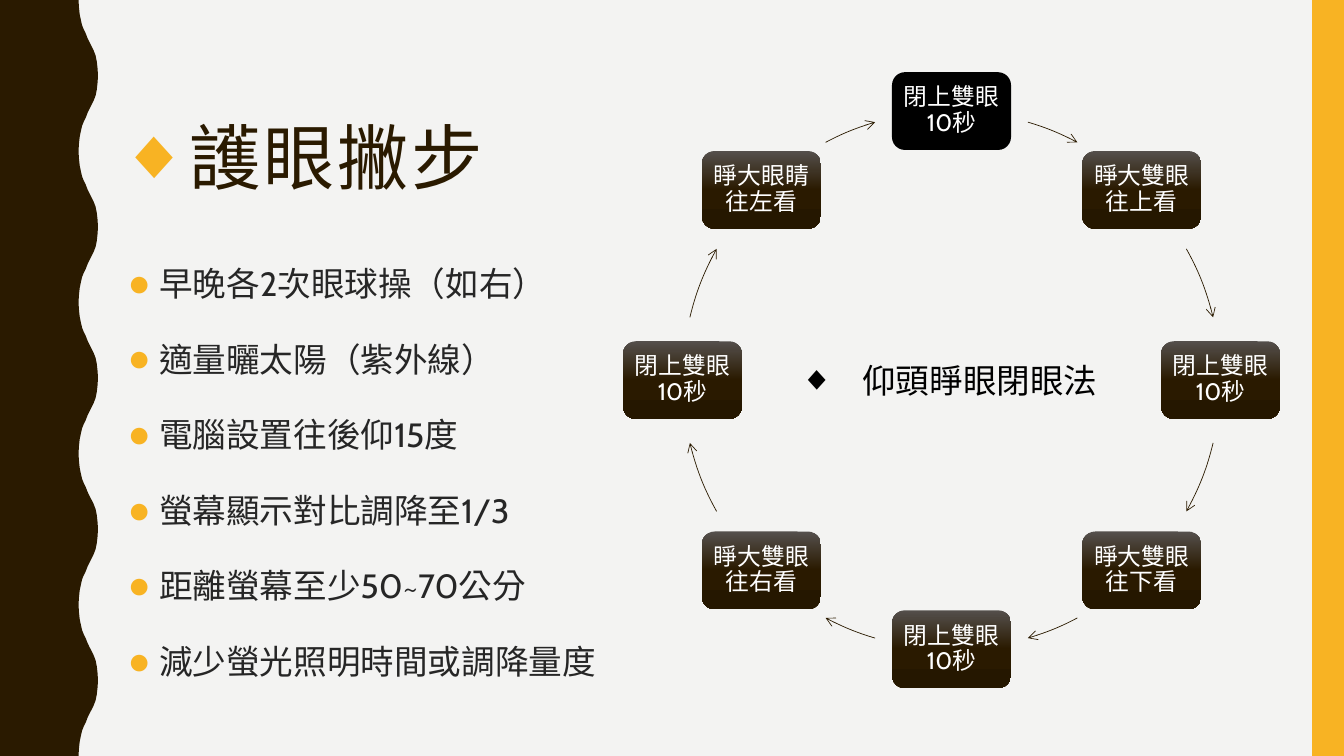
from dataclasses import dataclass
from math import cos, radians, sin
from typing import Optional

from lxml import etree
from pptx import Presentation
from pptx.dml.color import RGBColor
from pptx.enum.shapes import MSO_SHAPE as SHAPE
from pptx.enum.text import MSO_ANCHOR as ANCHOR, PP_ALIGN as ALIGN
from pptx.oxml.ns import qn
from pptx.util import Cm, Pt

COLOURS = {
    "paper": "F3F3F2", "brown": "2A1A00", "gold": "F8B323", "ink": "262626",
    "black": "000000", "white": "FFFFFF", "sheen": "544F4C", "deep": "251700",
}
WIDTH, HEIGHT = 33.87, 19.05

# Wave edge: half a period as (y, x), in cm
HALF_WAVE = [(0, 1.98), (0.18, 1.99), (0.36, 2.01), (0.51, 2.04), (0.64, 2.07),
             (0.74, 2.11), (0.84, 2.16), (0.97, 2.21), (1.07, 2.26), (1.17, 2.31),
             (1.27, 2.36), (1.4, 2.41), (1.55, 2.44), (1.73, 2.46), (1.9, 2.47)]
HALF_COUNT = 10

# Exercise cycle, in cm; angles run clockwise from the top
CENTRE_X, CENTRE_Y, RADIUS = 23.98, 9.58, 6.78
BOX_W, BOX_H = 3.0, 1.96
STEPS = ["閉上雙眼10秒", "睜大雙眼往上看", "閉上雙眼10秒", "睜大雙眼往下看",
         "閉上雙眼10秒", "睜大雙眼往右看", "閉上雙眼10秒", "睜大眼睛往左看"]
QUARTER_ARCS = [(16.5, 27.9), (60.8, 76.5)]


@dataclass
class Style:
    size: float
    colour: str
    font: str = "Cabin"
    tracking: float = 0
    line: float = 1.0
    before: float = 0
    after: float = 0
    bullet: Optional[str] = None
    bullet_colour: Optional[str] = None
    bullet_pct: int = 100
    indent: float = 0


@dataclass
class TextBlock:
    left: float
    top: float
    width: float
    height: float
    lines: list[str]
    style: Style
    wrap: bool = True


TITLE = Style(51, "brown", "Arial Narrow", tracking=2, line=0.9,
              bullet="◆", bullet_colour="gold", indent=1.57)
BODY = Style(24, "ink", line=1.5, before=4.8, after=6, bullet="●",
             bullet_colour="gold", bullet_pct=115, indent=0.79)
METHOD = Style(24, "black", bullet="◆", indent=1.57)
STEP = Style(17, "white", line=0.9)

BLOCKS = [
    TextBlock(2.74, 2.97, 27.94, 3.63, ["護眼撇步"], TITLE),
    TextBlock(2.97, 5.99, 12.85, 12.01,
              ["早晚各2次眼球操（如右）", "適量曬太陽（紫外線）", "電腦設置往後仰15度",
               "螢幕顯示對比調降至1/3", "距離螢幕至少50~70公分",
               "減少螢光照明時間或調降量度"], BODY),
    TextBlock(19.91, 8.94, 8.1, 1.27, ["仰頭睜眼閉眼法"], METHOD, wrap=False),
]


def rgb(name: str) -> RGBColor:
    return RGBColor.from_string(COLOURS[name])


def sub(parent, tag: str, **attrs: str):
    return etree.SubElement(parent, qn(tag), attrs)


def plain(sp, fill: Optional[str]) -> None:
    """Remove shadow and outline, then set the fill."""
    sp.shadow.inherit = False
    sp.line.fill.background()
    if fill:
        sp.fill.solid()
        sp.fill.fore_color.rgb = rgb(fill)
    else:
        sp.fill.background()


def add_bullet(p, style: Style) -> None:
    p_pr = p._p.get_or_add_pPr()
    p_pr.set("marL", str(Cm(style.indent)))
    p_pr.set("indent", str(-Cm(style.indent)))
    if style.bullet_colour:
        sub(sub(p_pr, "a:buClr"), "a:srgbClr", val=COLOURS[style.bullet_colour])
    sub(p_pr, "a:buSzPct", val=str(style.bullet_pct * 1000))
    sub(p_pr, "a:buFont", typeface="Arial")
    sub(p_pr, "a:buChar", char=style.bullet)


def write(tf, lines: list[str], style: Style) -> None:
    for i, line in enumerate(lines):
        p = tf.add_paragraph() if i else tf.paragraphs[0]
        p.line_spacing = style.line
        p.space_before, p.space_after = Pt(style.before), Pt(style.after)
        if style.bullet:
            add_bullet(p, style)
        r = p.add_run()
        r.text = line
        r.font.size, r.font.name = Pt(style.size), style.font
        r.font.color.rgb = rgb(style.colour)
        r_pr = r._r.get_or_add_rPr()
        r_pr.set("lang", "zh-TW")
        if style.tracking:
            r_pr.set("spc", str(int(style.tracking * 100)))


def add_block(shapes, block: TextBlock) -> None:
    tf = shapes.add_textbox(Cm(block.left), Cm(block.top),
                            Cm(block.width), Cm(block.height)).text_frame
    tf.word_wrap = block.wrap
    write(tf, block.lines, block.style)


def add_wave(shapes) -> None:
    half = HEIGHT / HALF_COUNT
    falling = [(half - y, x) for y, x in reversed(HALF_WAVE)]
    edge = [(Cm(x), Cm(i * half + y)) for i in range(HALF_COUNT)
            for y, x in (falling if i % 2 else HALF_WAVE)]
    builder = shapes.build_freeform(0, 0)
    builder.add_line_segments([*edge, (Cm(edge[0][0].cm), Cm(HEIGHT)), (0, Cm(HEIGHT))])
    plain(builder.convert_to_shape(), "brown")


def shade(sp) -> None:
    sp.fill.gradient()
    sp.fill.gradient_angle = 270
    stops = sp._element.spPr.find(qn("a:gradFill")).find(qn("a:gsLst"))
    for stop in list(stops):
        stops.remove(stop)
    for pos, name in ((0, "sheen"), (50, "brown"), (100, "deep")):
        sub(sub(stops, "a:gs", pos=str(pos * 1000)), "a:srgbClr", val=COLOURS[name])


def add_step(shapes, index: int, text: str) -> None:
    angle = radians(index * 360 / len(STEPS))
    x = CENTRE_X + RADIUS * sin(angle) - BOX_W / 2
    y = CENTRE_Y - RADIUS * cos(angle) - BOX_H / 2
    sp = shapes.add_shape(SHAPE.ROUNDED_RECTANGLE, Cm(x), Cm(y), Cm(BOX_W), Cm(BOX_H))
    plain(sp, "black")
    if index:
        shade(sp)
    tf = sp.text_frame
    tf.word_wrap, tf.vertical_anchor = True, ANCHOR.MIDDLE
    tf.margin_left = tf.margin_right = tf.margin_top = tf.margin_bottom = Cm(0.18)
    write(tf, [text], STEP)
    tf.paragraphs[0].alignment = ALIGN.CENTER


def add_arc(shapes, start: float, end: float) -> None:
    sp = shapes.add_shape(SHAPE.ARC, Cm(CENTRE_X - RADIUS), Cm(CENTRE_Y - RADIUS),
                          Cm(2 * RADIUS), Cm(2 * RADIUS))
    plain(sp, None)
    # Arc angles count from the right, in 60000ths of a degree
    for i, angle in enumerate((start, end)):
        sp.adjustments[i] = (angle - 90) % 360 * 0.6
    sp.line.color.rgb = rgb("brown")
    sp.line.width = Pt(0.5)
    sub(sp.line._get_or_add_ln(), "a:tailEnd", type="arrow")


prs = Presentation()
prs.slide_width, prs.slide_height = Cm(WIDTH), Cm(HEIGHT)
s = prs.slides.add_slide(prs.slide_layouts[6])
s.background.fill.solid()
s.background.fill.fore_color.rgb = rgb("paper")

# Side bands
add_wave(s.shapes)
band = s.shapes.add_shape(SHAPE.RECTANGLE, Cm(33.07), 0, Cm(0.8), Cm(HEIGHT))
plain(band, "gold")

# Cycle: the lower arcs of each half mirror the upper ones
for index, step in enumerate(STEPS):
    add_step(s.shapes, index, step)
half_arcs = QUARTER_ARCS + [(180 - b, 180 - a) for a, b in reversed(QUARTER_ARCS)]
for turn in (0, 180):
    for a, b in half_arcs:
        add_arc(s.shapes, a + turn, b + turn)

# Title, advice and method name
for block in BLOCKS:
    add_block(s.shapes, block)

prs.save("out.pptx")
